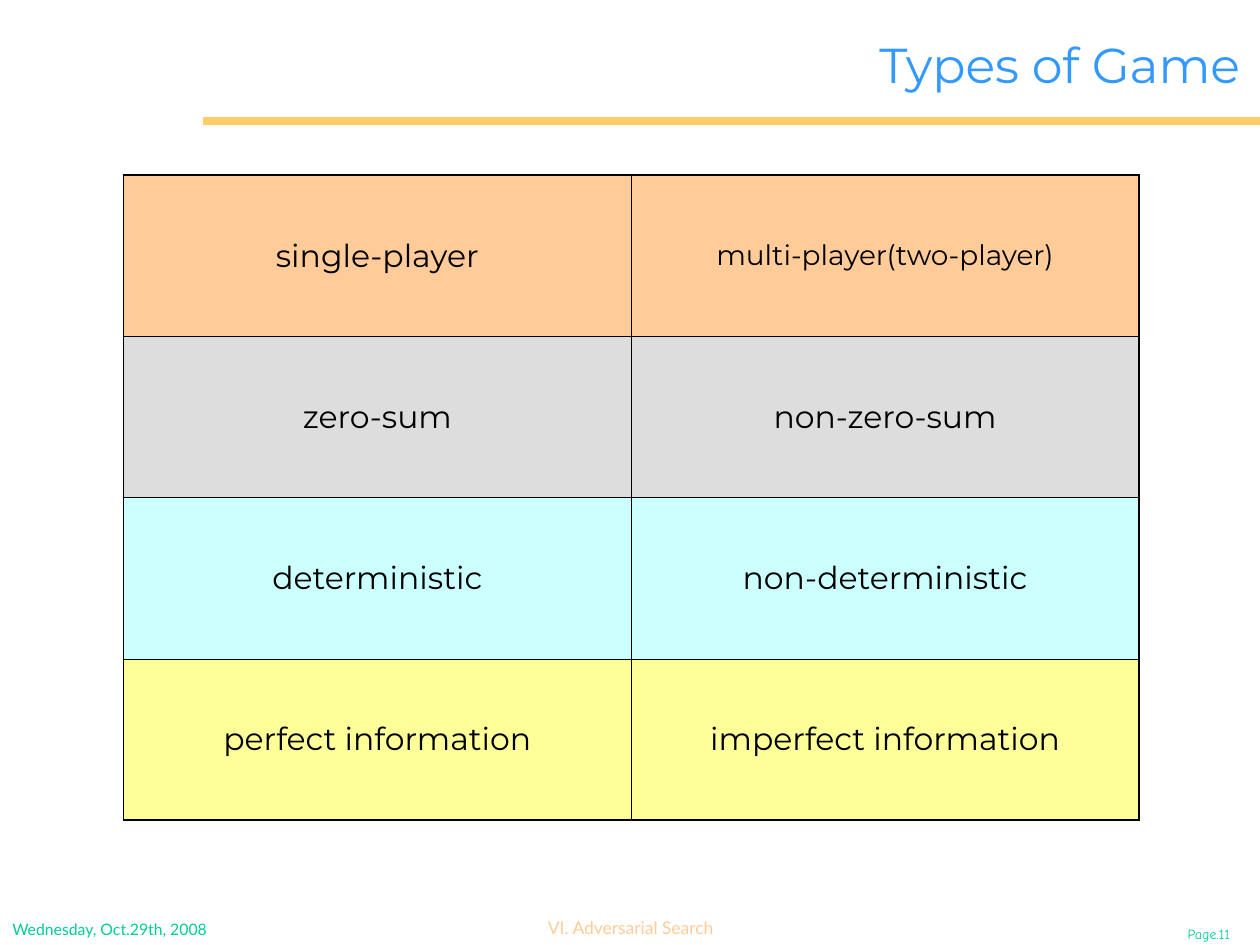
from lxml.etree import SubElement
from pptx import Presentation
from pptx.dml.color import RGBColor
from pptx.enum.shapes import MSO_CONNECTOR
from pptx.enum.text import MSO_ANCHOR, PP_ALIGN
from pptx.oxml.ns import qn
from pptx.util import Inches, Pt

ROWS = [
    ("FFCC99", ("single-player", 18), ("multi-player(two-player)", 16)),
    ("DDDDDD", ("zero-sum", 18), ("non-zero-sum", 18)),
    ("CCFFFF", ("deterministic", 18), ("non-deterministic", 18)),
    ("FFFF99", ("perfect information", 18), ("imperfect information", 18)),
]
LABELS = [
    ("Page.11", (9.23, 7.29, 0.73, 0.24), 8, "Comic Neue", "00CC99", PP_ALIGN.CENTER, True),
    ("VI. Adversarial Search", (4.2, 7.23, 1.61, 0.27), 10, "Lato", "FFCC99", PP_ALIGN.CENTER, False),
    ("Wednesday, Oct.29th, 2008", (0, 7.25, 2.4, 0.25), 9, "Lato", "00CC99", PP_ALIGN.LEFT, True),
    ("Types of Game", (1.87, 0.13, 8.07, 0.76), 28, "Montserrat", "3399FF", PP_ALIGN.RIGHT, True),
]
COL_W, ROW_H = 4.03, 1.28
OUTER, INNER = 1.08, 0.45


def rgb(color):
    """Turn a hex string into a colour."""
    return RGBColor.from_string(color)


def write(tf, text, size, font, color, align):
    """Put one styled paragraph into a text frame."""
    p = tf.paragraphs[0]
    p.text, p.alignment = text, align
    p.font.size, p.font.name = Pt(size), font
    p.font.color.rgb = rgb(color)


def add_label(s, text, box, size, font, color, align, wrap):
    """Add a vertically centred text box."""
    tf = s.shapes.add_textbox(*map(Inches, box)).text_frame
    tf.word_wrap, tf.vertical_anchor = wrap, MSO_ANCHOR.MIDDLE
    write(tf, text, size, font, color, align)


def add_rule(s):
    """Add the line under the title."""
    line = s.shapes.add_connector(
        MSO_CONNECTOR.STRAIGHT, Inches(1.61), Inches(0.96), Inches(10), Inches(0.96))
    line.line.color.rgb, line.line.width = rgb("FFCC66"), Pt(4.5)
    SubElement(line._element.spPr, qn("a:effectLst"))


def set_borders(cell, widths):
    """Draw black borders, given widths by side, ahead of the cell fill."""
    tc_pr = cell._tc.get_or_add_tcPr()
    for i, (side, width) in enumerate(widths.items()):
        ln = SubElement(tc_pr, qn(f"a:ln{side}"), w=str(Pt(width)))
        SubElement(SubElement(ln, qn("a:solidFill")), qn("a:srgbClr"), val="000000")
        tc_pr.insert(i, ln)


def add_types_table(s):
    """Add the table of opposing game types."""
    n_rows, n_cols = len(ROWS), len(ROWS[0]) - 1
    table = s.shapes.add_table(
        n_rows, n_cols, Inches(0.98), Inches(1.39),
        Inches(n_cols * COL_W), Inches(n_rows * ROW_H)).table
    for i, (fill, *entries) in enumerate(ROWS):
        for j, (text, size) in enumerate(entries):
            cell = table.cell(i, j)
            cell.vertical_anchor = MSO_ANCHOR.MIDDLE
            cell.fill.solid()
            cell.fill.fore_color.rgb = rgb(fill)
            write(cell.text_frame, text, size, "Montserrat", "000000", PP_ALIGN.CENTER)
            edges = {"L": j == 0, "R": j == n_cols - 1, "T": i == 0, "B": i == n_rows - 1}
            set_borders(cell, {k: OUTER if edge else INNER for k, edge in edges.items()})


def main():
    """Build the slide and save it."""
    prs = Presentation()
    prs.slide_width, prs.slide_height = Inches(10), Inches(7.5)
    s = prs.slides.add_slide(prs.slide_layouts[6])
    add_rule(s)
    for label in LABELS:
        add_label(s, *label)
    add_types_table(s)
    prs.save("out.pptx")


if __name__ == "__main__":
    main()
